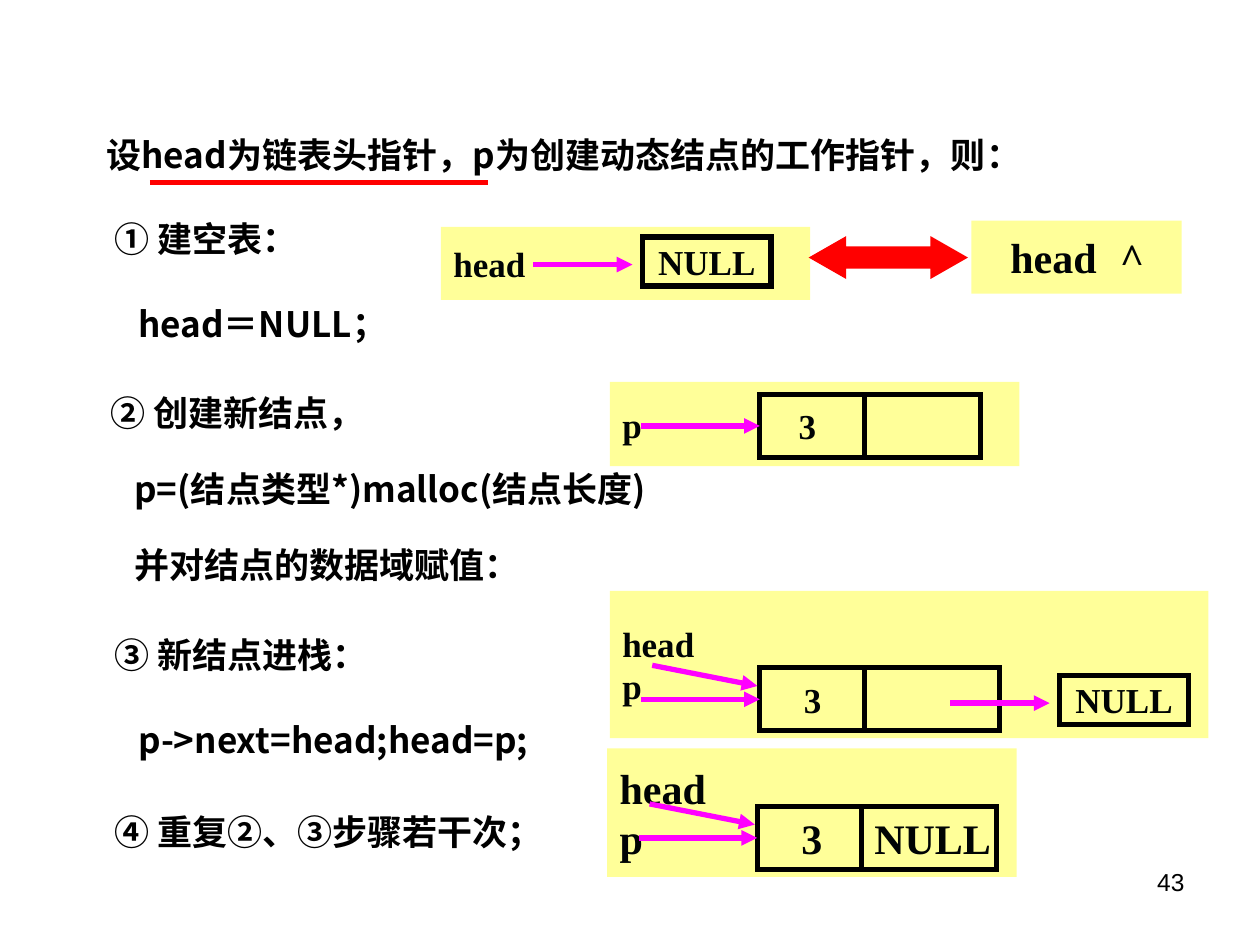
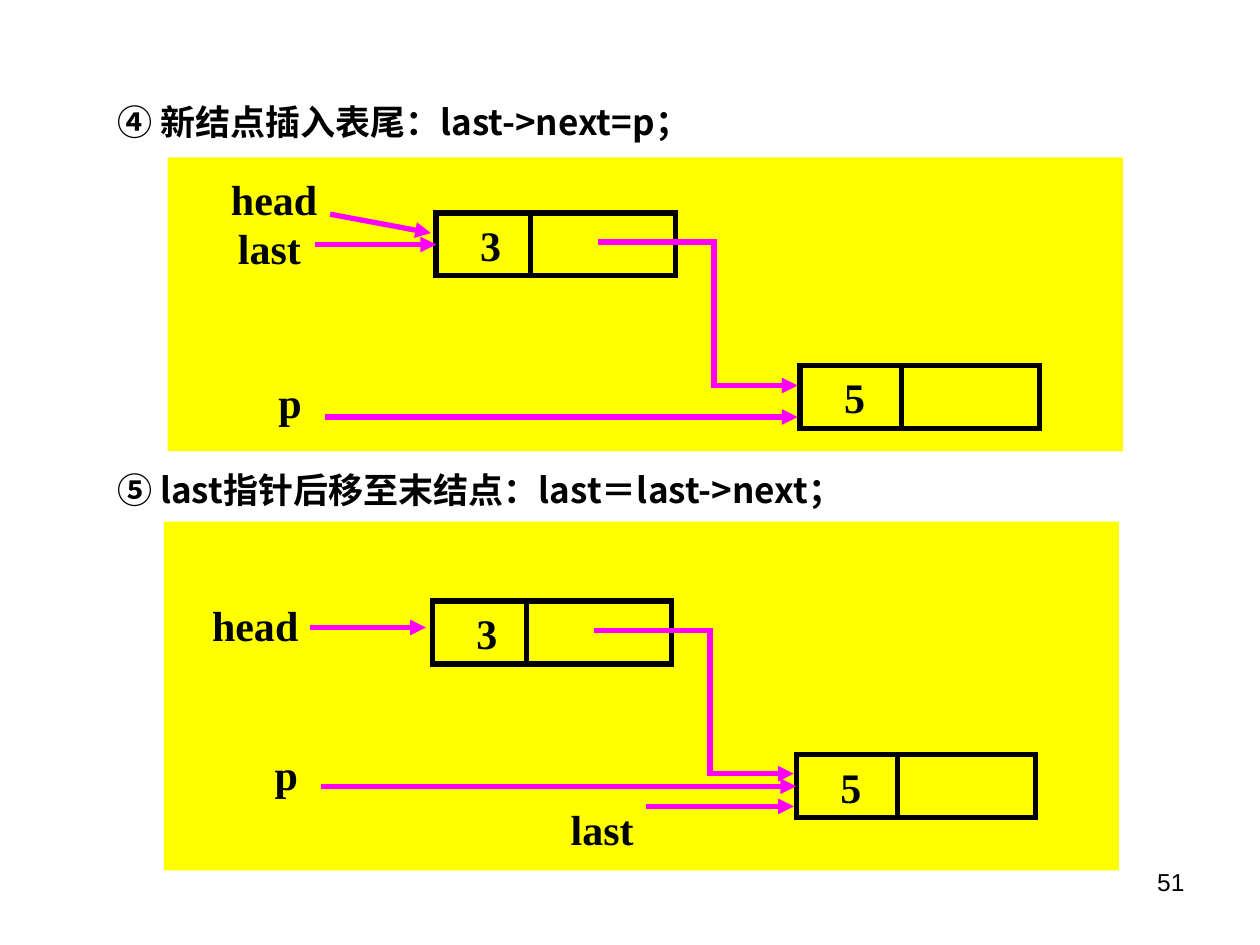
import pptx
import pptx.dml.color
import pptx.enum.shapes
import pptx.enum.text
import pptx.oxml.ns
import pptx.util
from lxml import etree

Pt = pptx.util.Pt
qn = pptx.oxml.ns.qn
SHAPE = pptx.enum.shapes.MSO_SHAPE
ANCHOR = pptx.enum.text.MSO_ANCHOR
ALIGN = pptx.enum.text.PP_ALIGN

BLACK, INK, RED, MAGENTA = "000000", "000404", "FF0000", "FF00FF"
PALE, YELLOW = "FFFF99", "FFFF00"
BODY, DIAGRAM, NUMBER = "Noto Sans CJK SC", "Times New Roman", "Arial"
LINE = 3
INSET = 7.2
SPACE = 4.55
NODE_H = 36
LEFT_SIDE = 1


def rgb(value):
    """Turn a hex string into a colour."""
    return pptx.dml.color.RGBColor.from_string(value)


def pts(*values):
    """Turn numbers into point lengths."""
    return [Pt(v) for v in values]


def add_run(p, text, size, font=DIAGRAM, color=INK, bold=True):
    """Add one formatted run to a paragraph."""
    r = p.add_run()
    r.text = text
    r.font.size, r.font.bold, r.font.name = Pt(size), bold, font
    r.font.color.rgb = rgb(color)
    etree.SubElement(r.font._element, qn("a:ea")).set("typeface", font)


def add_text(sp, lines, size, align=ALIGN.LEFT, left=INSET, anchor=ANCHOR.MIDDLE):
    """Write unwrapped diagram lines into a shape."""
    tf = sp.text_frame
    tf.word_wrap, tf.vertical_anchor, tf.margin_left = False, anchor, Pt(left)
    for i, line in enumerate(lines):
        p = tf.add_paragraph() if i else tf.paragraphs[0]
        p.alignment = align
        add_run(p, line, size)


def add_block(slide, fill, *box, line=None, kind=SHAPE.RECTANGLE):
    """Add a flat preset shape with sharp corners."""
    sp = slide.shapes.add_shape(kind, *pts(*box))
    sp.shadow.inherit = False
    sp.fill.solid()
    sp.fill.fore_color.rgb = rgb(fill)
    if line:
        sp.line.color.rgb, sp.line.width = rgb(line), Pt(LINE)
        etree.SubElement(sp.line._get_or_add_ln(), qn("a:miter")).set("lim", "800000")
    else:
        sp.line.fill.background()
    return sp


def add_label(slide, text, x, y, w, size=24, left=INSET, anchor=ANCHOR.TOP):
    """Add a short free-standing diagram label."""
    sp = slide.shapes.add_textbox(*pts(x, y, w, NODE_H))
    add_text(sp, [text], size, left=left, anchor=anchor)


def add_line(slide, *ends, color=MAGENTA, head=True, target=None):
    """Add a straight line, optionally joined to the left side of a target."""
    sp = slide.shapes.add_connector(pptx.enum.shapes.MSO_CONNECTOR.STRAIGHT, *pts(*ends))
    sp.line.color.rgb, sp.line.width = rgb(color), Pt(LINE)
    if head:
        etree.SubElement(sp.line._get_or_add_ln(), qn("a:tailEnd")).set("type", "triangle")
    etree.SubElement(sp._element.spPr, qn("a:effectLst"))
    if target is not None:
        sp.end_connect(target, LEFT_SIDE)


def add_node(slide, fill, x, y, w, split, value, size=24, left=25.2):
    """Draw a list node with a data cell and a pointer cell."""
    sp = add_block(slide, fill, x, y, w, NODE_H, line=BLACK)
    add_text(sp, [value], size, left=left)
    add_line(slide, x + split, y, x + split, y + NODE_H, color=BLACK, head=False)
    return sp


def add_steps(slide, x, y, w, h, lines, gap=0):
    """Write body lines, each given as an indent in spaces and its text."""
    tf = slide.shapes.add_textbox(*pts(x, y, w, h)).text_frame
    tf.word_wrap = True
    for i, (indent, text) in enumerate(lines):
        p = tf.add_paragraph() if i else tf.paragraphs[0]
        p._p.get_or_add_pPr().set("marL", str(Pt(indent * SPACE)))
        p.line_spacing = 1.5
        p.space_before = Pt(gap if i else 0)
        add_run(p, text, 20, BODY, BLACK)


def add_number(slide, number):
    """Write the page number in the lower right corner."""
    p = slide.shapes.add_textbox(*pts(516.2, 491.8, 167.8, 37.4)).text_frame.paragraphs[0]
    p.alignment = ALIGN.RIGHT
    add_run(p, number, 14, NUMBER, BLACK, False)


def null_box(slide, x, y):
    """Draw the framed NULL box."""
    sp = add_block(slide, PALE, x, y, 73.4, 28.1, line=BLACK)
    add_text(sp, ["NULL"], 20, ALIGN.CENTER)


def empty_list(slide, x, y, w, h):
    """Show a head pointer to NULL and its short form."""
    add_text(add_block(slide, PALE, x, y, w, h), ["head"], 20)
    add_line(slide, x + 52.6, y + 21.6, x + 109.4, y + 21.6)
    null_box(slide, x + 115.2, y + 5.8)
    sp = add_block(slide, RED, x + 213.1, y + 7.9, 85, 19.4, line=RED, kind=SHAPE.LEFT_RIGHT_ARROW)
    sp.adjustments[0], sp.adjustments[1] = 0.5, 0.875
    sp = add_block(slide, PALE, x + 303.1, y - 3.6, 120.2, h)
    add_text(sp, ["head\t^"], 24, left=22.3)
    tabs = etree.SubElement(sp.text_frame.paragraphs[0]._p.get_or_add_pPr(), qn("a:tabLst"))
    etree.SubElement(tabs, qn("a:tab"), pos=str(Pt(62.5)), algn="l")


def pointed_node(slide, x, y, w, h, names, node_y, node_w=136.8, size=20, left=25.2, value_size=20):
    """Draw a panel whose named pointers lead to one node."""
    add_text(add_block(slide, PALE, x, y, w, h), names, size)
    nx, ny = x + 85.7, y + node_y
    node = add_node(slide, PALE, nx, ny, node_w, 59.8, "3", value_size, left)
    add_line(slide, x + 18, ny + NODE_H / 2, nx, ny + NODE_H / 2, target=node)
    if "head" in names:
        add_line(slide, nx - 61.5, ny - 1.4, nx - 1.4, ny + 10.4)
    return nx, ny


def linked_nodes(slide, x, y, w, h, first_y, second_y, link_y):
    """Draw a panel with two nodes joined by a stepped link."""
    add_block(slide, YELLOW, x, y, w, h)
    ax, ay, bx, by = x + 153.4, y + first_y, x + 361.4, y + second_y
    first = add_node(slide, YELLOW, ax, ay, 136.8, 54, "3")
    second = add_node(slide, YELLOW, bx, by, 136.8, 58, "5")
    bend, start_y, end_y = ax + 158.8, ay + 16.6, by + link_y
    add_line(slide, ax + 92.5, start_y, bend + 1.5, start_y, head=False)
    add_line(slide, bend, start_y, bend, end_y + 1.5, head=False)
    add_line(slide, bend, end_y, bx - 1.4, end_y)
    return first, second


def stack_slide(prs):
    """Build the slide on creating a list by inserting at the head."""
    slide = prs.slides.add_slide(prs.slide_layouts[6])
    add_steps(slide, 31, 60.5, 606.2, 43.2, [(5, "设head为链表头指针，p为创建动态结点的工作指针，则：")])
    add_line(slide, 85.7, 104.4, 278.6, 104.4, color=RED, head=False)
    empty_list(slide, 252, 129.6, 211, 41.8)
    pointed_node(slide, 348.5, 218.2, 234, 48.2, ["p"], 7.2, node_w=126, left=22.2)
    nx, ny = pointed_node(slide, 348.5, 337.7, 342, 84.2, ["head", "p"], 43.9)
    add_line(slide, nx + 108.7, ny + 20.2, nx + 165.6, ny + 20.2)
    null_box(slide, nx + 171.4, ny + 4.3)
    nx, ny = pointed_node(slide, 347, 427.7, 234, 73.4, ["head", "p"], 33.1, size=24, value_size=24)
    add_label(slide, "NULL", nx + 59.8, ny, 90, anchor=ANCHOR.MIDDLE)
    add_steps(slide, 31, 108.7, 239.8, 128.2, [(6, "① 建空表："), (9, "head＝NULL；")], 12.5)
    add_steps(slide, 28.8, 208.1, 576, 130.3, [
        (6, "② 创建新结点，"),
        (9, "p=(结点类型*)malloc(结点长度)"),
        (9, "并对结点的数据域赋值："),
    ], 7.5)
    add_steps(slide, 31, 346.3, 318.2, 128.2, [(6, "③ 新结点进栈："), (9, "p->next=head;head=p;")], 12.5)
    add_steps(slide, 31, 447.8, 347.8, 43.2, [(6, "④ 重复②、③步骤若干次；")])
    add_number(slide, "43")


def insert_after(slide, x, y, w, h):
    """Show the new node being linked after the last one."""
    first, _ = linked_nodes(slide, x, y, w, h, 31.7, 118.8, 11.5)
    add_label(slide, "head", x + 23, y + 5.8, 69.8, left=13.2)
    add_line(slide, x + 92.9, y + 32.4, x + 150.5, y + 43.2)
    add_label(slide, "last", x + 33.1, y + 33.8, 50.4)
    add_line(slide, x + 84.2, y + 49.7, x + 150.5, y + 49.7, target=first)
    add_label(slide, "p", x + 56.2, y + 121.7, 27.4)
    add_line(slide, x + 90, y + 148.3, x + 360, y + 148.3)


def move_last(slide, x, y, w, h):
    """Show the last pointer moved to the end node."""
    _, second = linked_nodes(slide, x, y, w, h, 45.4, 133.2, 10.8)
    add_label(slide, "head", x + 14.4, y + 41, 69.8, left=13.2)
    add_line(slide, x + 83.5, y + 60.5, x + 149.8, y + 60.5)
    add_label(slide, "p", x + 56.2, y + 126, 27.4)
    add_line(slide, x + 90, y + 151.2, x + 360, y + 151.2, target=second)
    add_label(slide, "last", x + 225.4, y + 157.7, 50.4)
    add_line(slide, x + 275.8, y + 162.7, x + 360, y + 162.7)


def tail_slide(prs):
    """Build the slide on inserting at the tail."""
    slide = prs.slides.add_slide(prs.slide_layouts[6])
    insert_after(slide, 95.8, 90, 545.8, 167.8)
    move_last(slide, 93.6, 298.1, 545.8, 199.4)
    add_steps(slide, 59.8, 41.8, 606.2, 43.2, [(0, "④ 新结点插入表尾：last->next=p；")])
    add_steps(slide, 59.8, 252, 606.2, 43.2, [(0, "⑤ last指针后移至末结点：last＝last->next；")])
    add_number(slide, "51")


def main():
    """Build and save the presentation."""
    prs = pptx.Presentation()
    prs.slide_width, prs.slide_height = pts(720, 540)
    stack_slide(prs)
    tail_slide(prs)
    prs.save("out.pptx")


if __name__ == "__main__":
    main()
